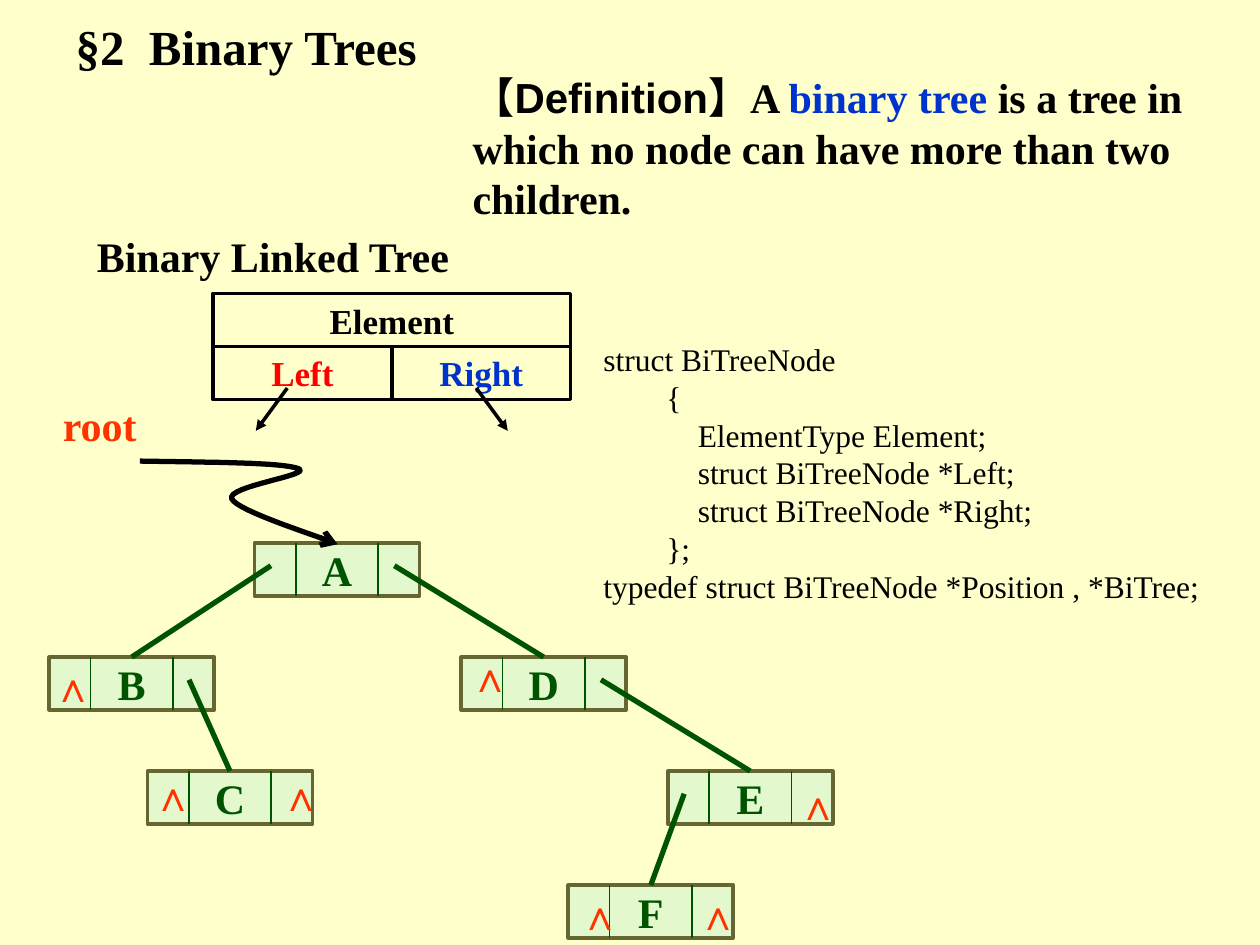
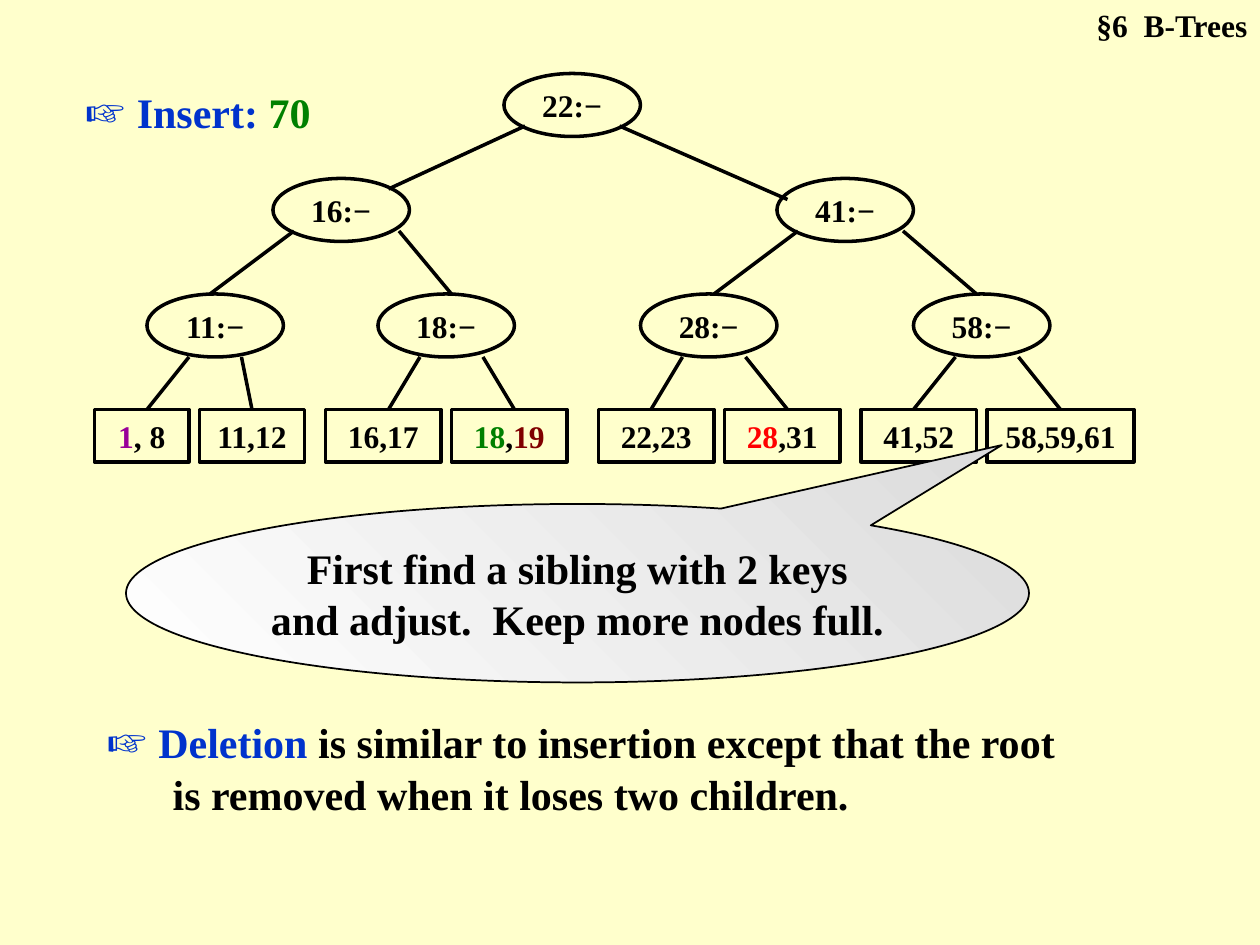
"""Build two slides on binary trees and B-trees."""
from lxml.etree import SubElement as Sub
from pptx import Presentation
from pptx.dml.color import RGBColor as RGB
from pptx.enum.shapes import MSO_CONNECTOR as LINK, MSO_SHAPE as KIND
from pptx.enum.text import MSO_ANCHOR as ANCHOR, MSO_AUTO_SIZE as AUTO, PP_ALIGN as ALIGN
from pptx.oxml.ns import qn
from pptx.util import Inches, Pt

CREAM = RGB(0xFF, 0xFF, 0xCC)
BLACK = RGB(0, 0, 0)
BLUE = RGB(0x00, 0x33, 0xCC)
RED = RGB(0xFF, 0, 0)
FLAME = RGB(0xFF, 0x33, 0)
MINT = RGB(0xCA, 0xF2, 0xCE)
OLIVE = RGB(0x66, 0x66, 0x33)
PINE = RGB(0, 0x54, 0)
GREEN = RGB(0, 0x80, 0)
MAROON = RGB(0x80, 0, 0)
PURPLE = RGB(0x99, 0, 0x99)
WHITE = RGB(0xFF, 0xFF, 0xFF)
GREY = RGB(0xDD, 0xDD, 0xDD)
SERIF, SANS = "Times New Roman", "Arial"

TERM = [("【Definition】", BLACK, 24, SANS), ("A ", BLACK), ("binary tree", BLUE),
        (" is a tree in which no node can have more than two children.", BLACK)]
CODE = """struct BiTreeNode
        {
            ElementType Element;
            struct BiTreeNode *Left;
            struct BiTreeNode *Right;
        };
typedef struct BiTreeNode *Position , *BiTree;"""
CELLS = [("Left", RED, 0, 1, 1), ("Right", BLUE, 1, 1, 1), ("Element", BLACK, 0, 0, 2)]
NODES = {"A": (2.02, 0), "D": (3.66, 1), "E": (5.3, 2),
         "B": (0.39, 1), "C": (1.17, 2), "F": (4.51, 3)}
EDGES = [("A", "B", 0.13), ("A", "D", 1.11), ("B", "C", 1.11),
         ("D", "E", 1.11), ("E", "F", 0.13)]
NILS = [(4.5, 7), (5.44, 7), (6.23, 6.13), (3.63, 5.11),
        (1.11, 6.06), (2.13, 6.06), (0.32, 5.19)]
CURVE = [(1.11, 3.66), (1.68, 3.67), (2.24, 3.67), (2.37, 3.72), (2.49, 3.77),
         (1.79, 3.86), (1.84, 3.96), (1.89, 4.06), (2.54, 4.26), (2.68, 4.32)]

UNIT = 1 / 12
OVALS = [("22:−", 48, 7), ("16:−", 26, 17), ("41:−", 74, 17), ("11:−", 14, 28),
         ("18:−", 36, 28), ("28:−", 61, 28), ("58:−", 87, 28)]
LEAVES = [([("1", PURPLE), (", 8", BLACK)], 9, 9), ([("11,12", BLACK)], 19, 10),
          ([("16,17", BLACK)], 31, 11),
          ([("18", GREEN), (",", BLACK), ("19", MAROON)], 43, 11),
          ([("22,23", BLACK)], 57, 11), ([("28", RED), (",31", BLACK)], 69, 11),
          ([("41,52", BLACK)], 82, 11), ([("58,59,61", BLACK)], 94, 14)]
LIMBS = [(50, 12, 37, 18), (59, 12, 75, 19), (28, 22, 20, 28),
         (38, 22, 43, 28), (76, 22, 68, 28), (86, 22, 93, 28)]
TWIGS = [(18, 14), (23, 24), (40, 37), (46, 49), (65, 62), (71, 75), (91, 87), (97, 101)]
INSERT = [("☞ ", BLUE, 28), ("Insert: ", BLUE), ("70", GREEN)]
DELETE = [("☞ ", BLUE, 28), ("Deletion ", BLUE),
          ("is similar to insertion except that the root is removed "
           "when it loses two children.", BLACK)]
HINT = [("First find a sibling with 2 keys and adjust.  Keep more nodes full.", BLACK)]


def style(run, color, size, font=SERIF, bold=True):
    face = run.font
    face.name, face.size, face.bold = font, Pt(size), bold
    face.color.rgb = color


def write(para, parts, size=24, align=ALIGN.LEFT):
    para.alignment = align
    para.space_before = Pt(0)
    for text, color, *rest in parts:
        run = para.add_run()
        run.text = text
        style(run, color, *(rest or [size]))


def place(holder, box, parts, size=24, align=ALIGN.LEFT, left=0, first=0):
    holder.left, holder.top, holder.width, holder.height = map(Inches, box)
    frame = holder.text_frame
    frame.auto_size, frame.vertical_anchor = AUTO.NONE, ANCHOR.TOP
    para = frame.paragraphs[0]
    props = para._p.get_or_add_pPr()
    props.set("marL", str(Inches(left)))
    props.set("indent", str(Inches(first)))
    Sub(props, qn("a:buNone"))
    write(para, parts, size, align)


def label(slide, box, parts, wrap=False):
    frame = slide.shapes.add_textbox(*map(Inches, box)).text_frame
    frame.word_wrap = wrap
    write(frame.paragraphs[0], parts)
    return frame


def shape(slide, kind, box, parts, size, edge=BLACK, width=2, wrap=False):
    item = slide.shapes.add_shape(kind, *map(Inches, box))
    item.shadow.inherit = False
    item.fill.background()
    item.line.color.rgb, item.line.width = edge, Pt(width)
    frame = item.text_frame
    frame.word_wrap, frame.vertical_anchor = wrap, ANCHOR.MIDDLE
    write(frame.paragraphs[0], parts, size, ALIGN.CENTER)
    return item


def tip(item, kind):
    Sub(item.line._get_or_add_ln(), qn("a:tailEnd"), type=kind)


def link(slide, ends, color=BLACK, width=2, head=None):
    item = slide.shapes.add_connector(LINK.STRAIGHT, *map(Inches, ends))
    item.line.color.rgb, item.line.width = color, Pt(width)
    if head:
        tip(item, head)
    Sub(item._element.spPr, qn("a:effectLst"))


def bend(slide, pts, steps=16):
    dots = []
    for i in range(0, len(pts) - 1, 3):
        for k in range(1, steps + 1):
            t = k / steps
            mix = ((1 - t) ** 3, 3 * t * (1 - t) ** 2, 3 * t * t * (1 - t), t ** 3)
            dots.append(tuple(Inches(sum(m * p[axis] for m, p in zip(mix, pts[i:i + 4])))
                              for axis in (0, 1)))
    pen = slide.shapes.build_freeform(*map(Inches, pts[0]))
    pen.add_line_segments(dots, close=False)
    item = pen.convert_to_shape()
    item.shadow.inherit = False
    item.fill.background()
    item.line.color.rgb, item.line.width = BLACK, Pt(3)
    tip(item, "arrow")


def binary(slide):
    place(slide.shapes.title, (0.5, 0.08, 4, 0.57), [("§2  Binary Trees", BLACK)], 28)
    place(slide.placeholders[1], (1.25, 0.52, 8.75, 1.3), TERM, left=2.4)

    wide, high = 1.42, 0.42
    for text, color, col, row, span in CELLS:
        box = (1.69 + col * wide, 2.33 + row * high, span * wide, high)
        shape(slide, KIND.RECTANGLE, box, [(text, color)], 20)
    for start, end in ((2.28, 2.03), (3.78, 4.03)):
        link(slide, (start, 3.08, end, 3.42), head="triangle")

    wide = 1.31
    spots = {name: (x, 4.31 + 0.905 * row) for name, (x, row) in NODES.items()}
    for name, (x, y) in spots.items():
        box = shape(slide, KIND.RECTANGLE, (x, y, wide, high), [(name, PINE)], 24, OLIVE)
        box.fill.solid()
        box.fill.fore_color.rgb = MINT
        Sub(box._element.spPr.find(".//" + qn("a:srgbClr")), qn("a:alpha"), val="50000")
        for share in (0.25, 0.75):
            cut = x + share * wide
            link(slide, (cut, y, cut, y + high), PINE, 1)
    for x, y in NILS:
        label(slide, (x, y, 0.4, 0.5), [("∧", FLAME)])
    for top, low, slot in EDGES:
        (x, y), (left, down) = spots[top], spots[low]
        link(slide, (x + slot, y + 0.18, left + wide / 2, down), PINE, 3)

    bend(slide, CURVE)
    label(slide, (0.4, 3.12, 0.79, 0.5), [("root", FLAME)])
    label(slide, (0.67, 1.78, 3.03, 0.5), [("Binary Linked Tree", BLACK)])
    frame = label(slide, (4.69, 2.65, 5.31, 2.2), [], True)
    frame.text = CODE
    for para in frame.paragraphs:
        style(para.runs[0], BLACK, 18, bold=False)


def btree(slide):
    place(slide.shapes.title, (8.17, 0, 1.83, 0.4), [("§6  B-Trees", BLACK)], 18, ALIGN.RIGHT)
    place(slide.placeholders[1], (0.75, 5.58, 7.92, 0.97), DELETE, left=0.52, first=-0.52)

    def grid(*cells):
        return [cell * UNIT for cell in cells]

    for parts, x, wide in LEAVES:
        shape(slide, KIND.RECTANGLE, grid(x, 39, wide, 5), parts, 18)
    for text, x, y in OVALS:
        shape(slide, KIND.OVAL, grid(x, y, 13, 6), [(text, BLACK)], 18)
    for ends in LIMBS + [(top, 34, low, 39) for top, low in TWIGS]:
        link(slide, grid(*ends))

    label(slide, (0.58, 0.58, 2.42, 0.57), INSERT, True)
    hint = shape(slide, KIND.OVAL_CALLOUT, grid(12, 48, 86, 17), HINT, 24, width=1, wrap=True)
    hint.adjustments[0], hint.adjustments[1] = 0.47, -0.83
    hint.fill.gradient()
    hint.fill.gradient_angle = 45
    for stop, color in zip(hint.fill.gradient_stops, (WHITE, GREY)):
        stop.color.rgb = color


def main():
    deck = Presentation()
    deck.slide_width, deck.slide_height = Inches(10), Inches(7.5)
    back = deck.slide_master.background.fill
    back.solid()
    back.fore_color.rgb = CREAM
    for draw in (binary, btree):
        draw(deck.slides.add_slide(deck.slide_layouts[1]))
    deck.save("out.pptx")


if __name__ == "__main__":
    main()
